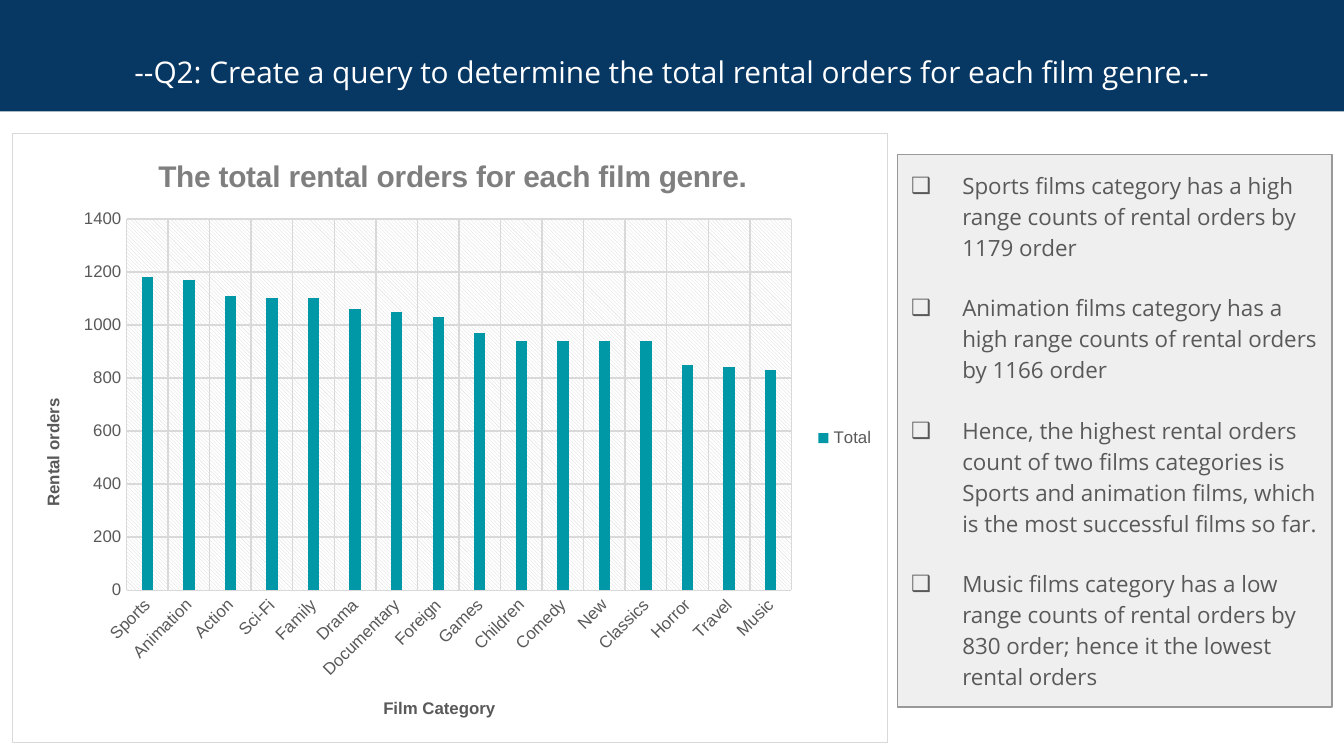
import pptx
import pptx.chart.data
import pptx.dml.color
import pptx.enum.chart
import pptx.enum.text
import pptx.oxml
import pptx.oxml.ns
import pptx.util

Inches = pptx.util.Inches
RGBColor = pptx.dml.color.RGBColor
NAVY = RGBColor(0x07, 0x37, 0x63)
WHITE = RGBColor(0xFF, 0xFF, 0xFF)
TEAL = RGBColor(0x00, 0x97, 0xA7)
TEXT = RGBColor(0x59, 0x59, 0x59)
GRAY = RGBColor(0x7F, 0x7F, 0x7F)
RULE = RGBColor(0xD9, 0xD9, 0xD9)
EDGE = RGBColor(0x99, 0x99, 0x99)
PALE = RGBColor(0xEF, 0xEF, 0xEF)

SALES = {
    "Sports": 1180, "Animation": 1170, "Action": 1110, "Sci-Fi": 1100,
    "Family": 1100, "Drama": 1060, "Documentary": 1050, "Foreign": 1030,
    "Games": 970, "Children": 940, "Comedy": 940, "New": 940,
    "Classics": 940, "Horror": 850, "Travel": 840, "Music": 830,
}
NOTES = [
    "Sports films category has a high range counts of rental orders by 1179 order",
    "Animation films category has a high range counts of rental orders by 1166 order",
    "Hence, the highest rental orders count of two films categories is Sports and "
    "animation films, which is the most successful films so far.",
    "Music films category has a low range counts of rental orders by 830 order; "
    "hence it the lowest rental orders",
]


def style(font, size=9, color=TEXT, face="Arial", bold=False):
    font.size = pptx.util.Pt(size)
    font.color.rgb = color
    font.name = face
    font.bold = bold


def write(para, text, align=None, **form):
    run = para.add_run()
    run.text = text
    para.alignment = align
    style(run.font, **form)


def paint(shape, fill, line=None):
    shape.fill.solid()
    shape.fill.fore_color.rgb = fill
    if line is None:
        shape.line.fill.background()
    else:
        rule(shape.line, line)


def rule(line, color=RULE):
    line.color.rgb = color
    line.width = pptx.util.Pt(0.75)


def place(shape, box):
    shape.left, shape.top, shape.width, shape.height = map(Inches, box)


def frame(shape, top=0.1, side=0.1):
    text = shape.text_frame
    text.word_wrap = True
    text.auto_size = pptx.enum.text.MSO_AUTO_SIZE.NONE
    text.margin_top = Inches(top)
    text.margin_left = text.margin_right = text.margin_bottom = Inches(side)
    return text


def node(tag, body):
    spaces = pptx.oxml.ns.nsdecls("c", "a")
    return pptx.oxml.parse_xml(f"<{tag} {spaces}>{body}</{tag}>")


def layout(left, top, size=None):
    inner = '<c:layoutTarget val="inner"/>' if size else ""
    parts = {"xMode": "edge", "yMode": "edge", "x": left, "y": top}
    if size:
        parts.update(w=size[0], h=size[1])
    body = "".join(f'<c:{key} val="{val}"/>' for key, val in parts.items())
    return node("c:layout", f"<c:manualLayout>{inner}{body}</c:manualLayout>")


def clear(root):
    for old in root.xpath("c:layout"):
        root.remove(old)


def label(title, text, left, top, turn=0, **form):
    write(title.text_frame.paragraphs[0], text, bold=True, **form)
    root = title._element
    clear(root)
    root.xpath("c:tx")[0].addnext(layout(left, top))
    root.xpath("c:tx/c:rich/a:bodyPr")[0].set("rot", str(turn * 60000))


def banner(slide, box):
    title = slide.shapes.title
    place(title, box)
    paint(title, NAVY)
    text = frame(title, top=0.37)
    text.vertical_anchor = pptx.enum.text.MSO_ANCHOR.MIDDLE
    write(text.paragraphs[0],
          "--Q2: Create a query to determine the total rental orders for each film genre.--",
          align=pptx.enum.text.PP_ALIGN.CENTER, size=16, color=WHITE, face="Open Sans")


def panel(slide, box):
    body = slide.placeholders[1]
    place(body, box)
    paint(body, PALE, EDGE)
    text = frame(body)
    text.vertical_anchor = pptx.enum.text.MSO_ANCHOR.TOP
    for index, note in enumerate(NOTES):
        para = text.add_paragraph() if index else text.paragraphs[0]
        write(para, note, size=12, face="Open Sans")
        para.line_spacing = 1.15
        para.space_before = pptx.util.Pt(0)
        para.space_after = pptx.util.Pt(16)
        props = para._p.get_or_add_pPr()
        props.set("marL", str(Inches(0.38)))
        props.set("indent", str(-Inches(0.38)))
        props.append(node("a:buClr", f'<a:srgbClr val="{TEXT}"/>'))
        mark = node("a:buChar", "")
        mark.set("char", "❑")
        props.append(mark)


def graph(slide, box):
    data = pptx.chart.data.CategoryChartData()
    data.categories = list(SALES)
    data.add_series("Total", list(SALES.values()))
    kind = pptx.enum.chart.XL_CHART_TYPE.COLUMN_CLUSTERED
    chart = slide.shapes.add_chart(kind, *map(Inches, box), data).chart
    style(chart.font)
    label(chart.chart_title, "The total rental orders for each film genre.",
          0.16, 0.03, size=16, color=GRAY)

    plot = chart.plots[0]
    plot.gap_width = 267
    plot.overlap = -43
    plot.vary_by_categories = False
    bars = plot.series[0].format.fill
    bars.solid()
    bars.fore_color.rgb = TEAL

    base, scale = chart.category_axis, chart.value_axis
    for axis in (base, scale):
        axis.has_major_gridlines = True
        rule(axis.major_gridlines.format.line)
        axis.major_tick_mark = pptx.enum.chart.XL_TICK_MARK.NONE
        style(axis.tick_labels.font)
    rule(base.format.line)
    scale.format.line.fill.background()
    scale.minimum_scale, scale.maximum_scale, scale.major_unit = 0, 1400, 200
    base._element.xpath("c:txPr/a:bodyPr")[0].set("rot", str(-45 * 60000))
    label(base.axis_title, "Film Category", 0.42, 0.92)
    label(scale.axis_title, "Rental orders", 0.03, 0.43, turn=-90)

    chart.has_legend = True
    chart.legend.position = pptx.enum.chart.XL_LEGEND_POSITION.RIGHT
    chart.legend.include_in_layout = False
    style(chart.legend.font)

    root = chart.element.xpath("c:chart")[0]
    area = root.xpath("c:plotArea")[0]
    clear(area)
    area.insert(0, layout(0.13, 0.14, (0.76, 0.61)))
    area.append(node("c:spPr", '<a:pattFill prst="ltDnDiag">'
                     f'<a:fgClr><a:srgbClr val="{RULE}"/></a:fgClr>'
                     f'<a:bgClr><a:srgbClr val="{WHITE}"/></a:bgClr></a:pattFill>'))
    root.addnext(node("c:spPr", f'<a:solidFill><a:srgbClr val="{WHITE}"/></a:solidFill>'
                      f'<a:ln w="9525"><a:solidFill><a:srgbClr val="{RULE}"/>'
                      '</a:solidFill></a:ln>'))


def main():
    deck = pptx.Presentation()
    deck.slide_width = Inches(10)
    deck.slide_height = deck.slide_width * 9 // 16
    slide = deck.slides.add_slide(deck.slide_layouts[1])
    panel(slide, (6.68, 1.15, 3.23, 4.11))
    banner(slide, (0, -0.04, 10, 0.87))
    graph(slide, (0.09, 0.99, 6.52, 4.54))
    deck.save("out.pptx")


if __name__ == "__main__":
    main()
